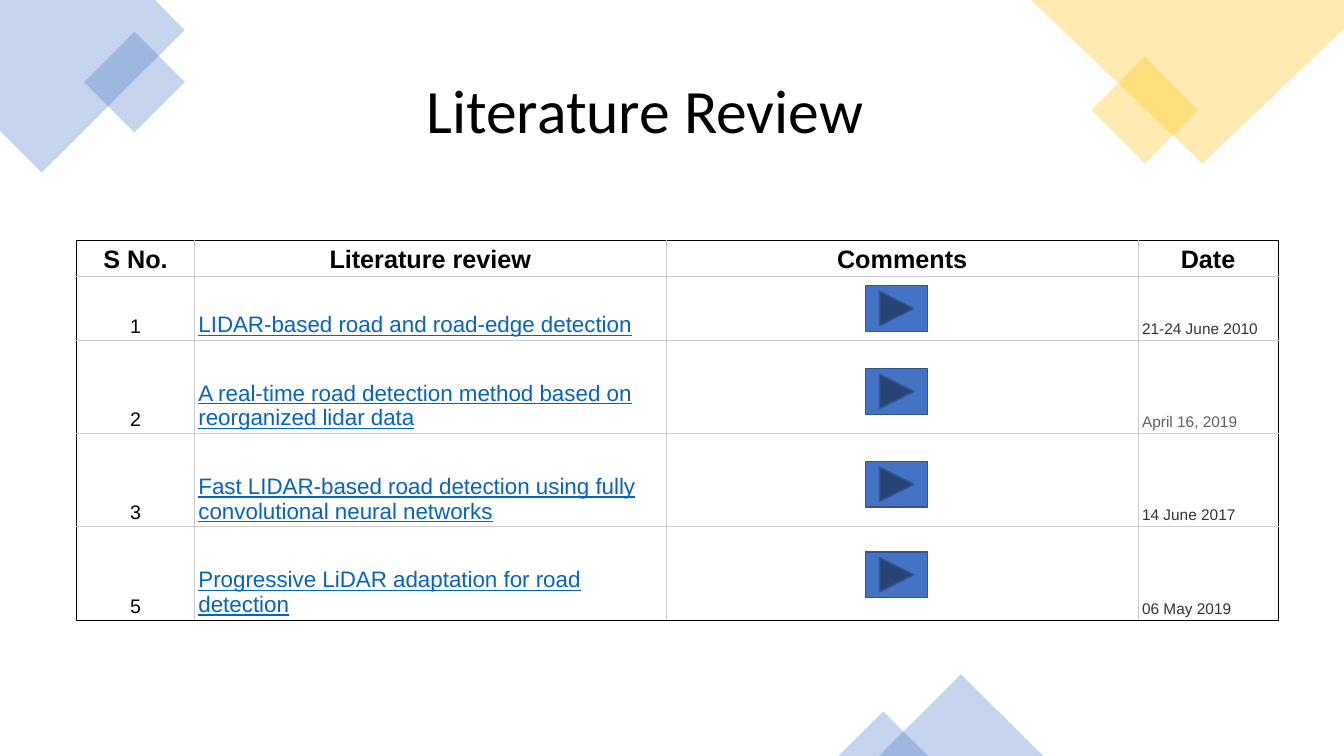
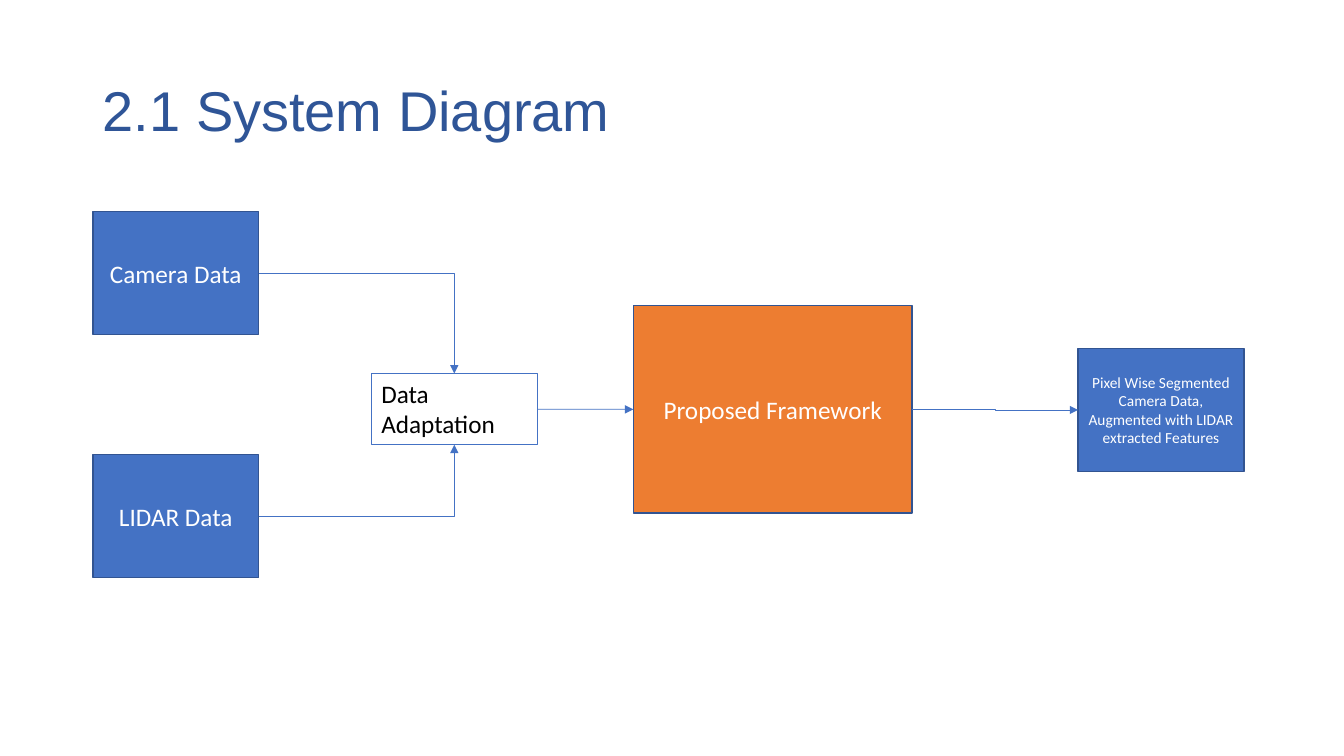
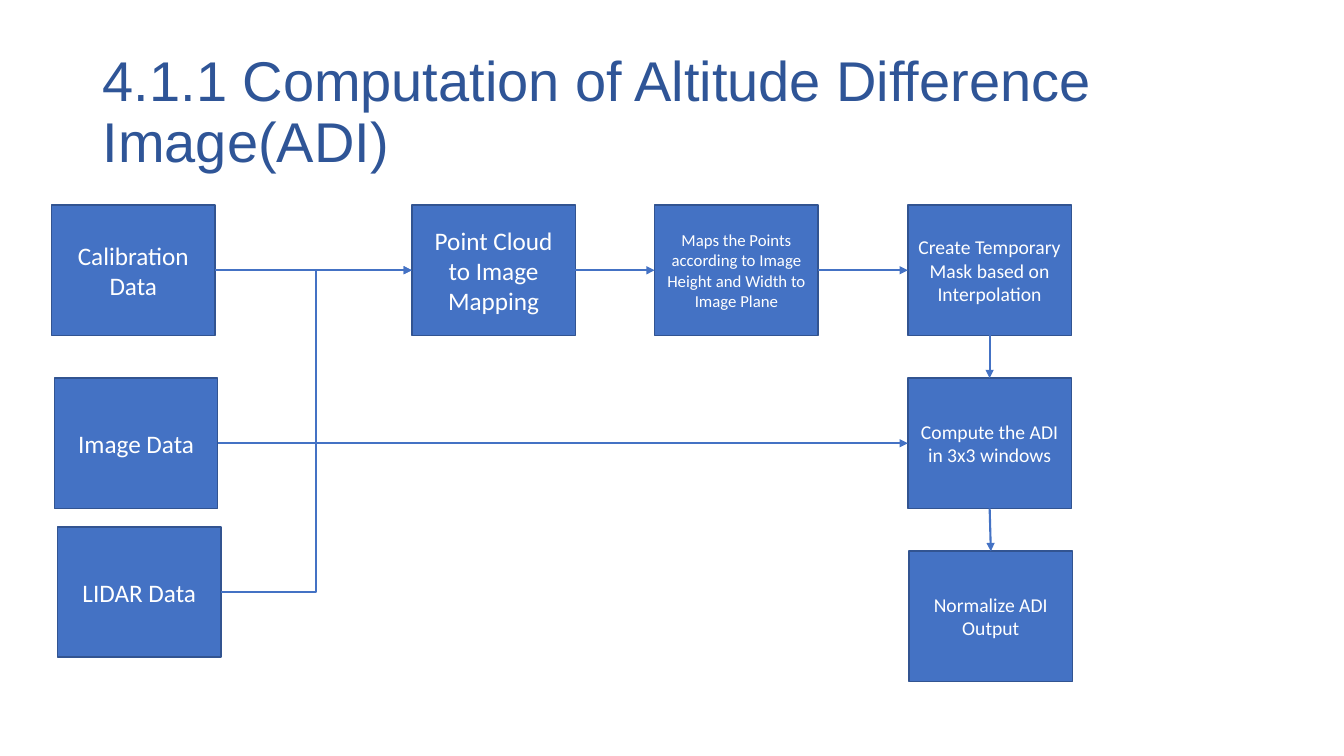
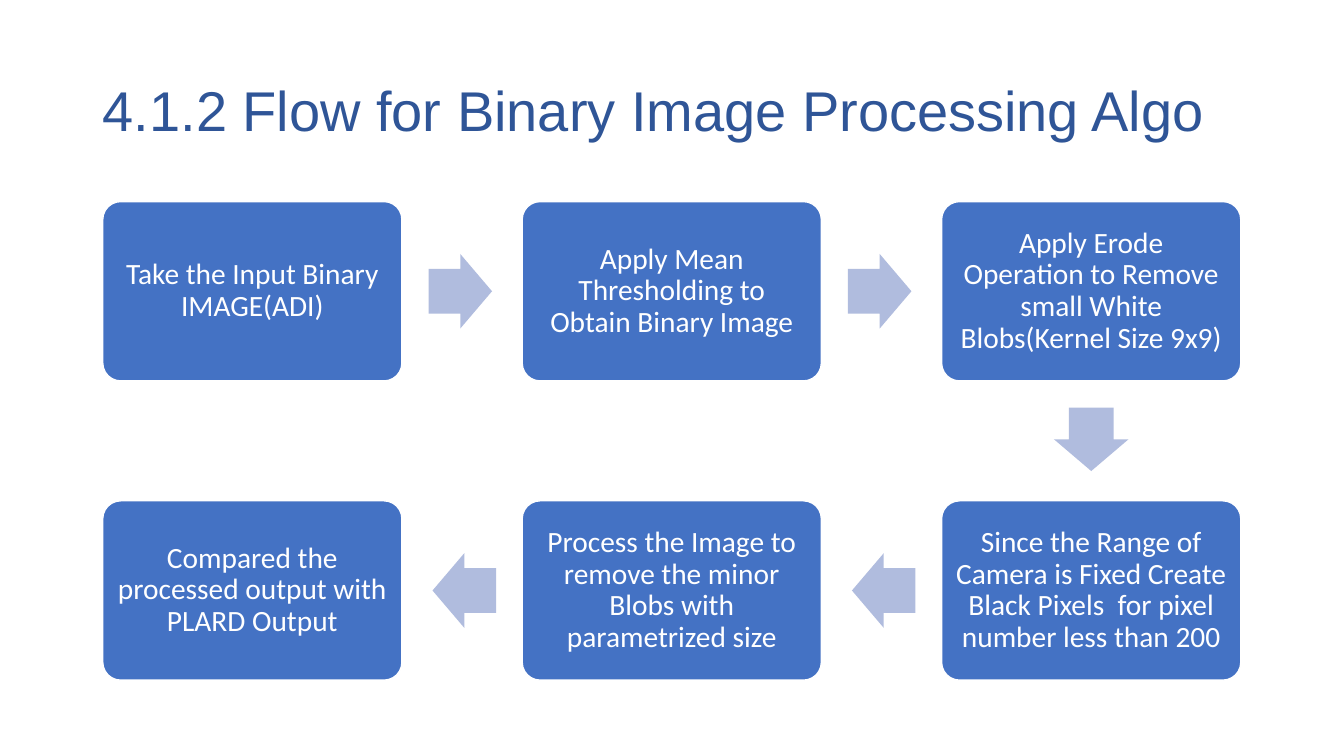
from dataclasses import dataclass

from lxml.etree import SubElement
from pptx import Presentation
from pptx.dml.color import RGBColor
from pptx.enum.shapes import MSO_CONNECTOR, MSO_SHAPE
from pptx.enum.text import MSO_ANCHOR, PP_ALIGN
from pptx.oxml.ns import qn
from pptx.util import Cm, Pt

COLORS = {
    "blue": "4472C4",
    "outline": "325491",
    "title": "2F5597",
    "orange": "ED7D31",
    "gold": "FFC000",
    "arrow": "B0BCDE",
    "grid": "CCCCCC",
    "link": "0563C1",
    "date": "333333",
    "date_light": "606060",
    "black": "000000",
    "white": "FFFFFF",
}
TOP, LEFT, BOTTOM, RIGHT = range(4)  # connection sites of a rectangle


@dataclass
class TextStyle:
    size: float
    color: str = "white"
    font: str = "Calibri"
    align: PP_ALIGN = PP_ALIGN.CENTER
    bold: bool = False
    underline: bool = False
    spacing: float = 1.0


@dataclass
class Box:
    text: str
    x: float
    y: float
    w: float
    h: float
    style: TextStyle
    fill: str | None = "blue"
    line: str = "outline"
    line_width: float = 1
    anchor: MSO_ANCHOR = MSO_ANCHOR.MIDDLE
    kind: MSO_SHAPE = MSO_SHAPE.RECTANGLE


@dataclass
class Link:
    start: str
    start_site: int
    end: str
    end_site: int
    geometry: str = "line"


@dataclass
class Decor:
    kind: MSO_SHAPE
    x: float
    y: float
    w: float
    h: float
    color: str = "blue"


@dataclass
class Paper:
    number: str
    title: str
    date: str
    date_color: str = "date"


SECTION_TITLE = TextStyle(40, "title", "Arial", PP_ALIGN.LEFT, spacing=0.9)
REVIEW_TITLE = TextStyle(44, "black", spacing=0.9)


# Shared helpers
def rgb(name: str) -> RGBColor:
    return RGBColor.from_string(COLORS[name])


def write(tf, text: str, style: TextStyle) -> None:
    tf.word_wrap = True
    p = tf.paragraphs[0]
    p.text = text
    p.alignment = style.align
    p.line_spacing = style.spacing
    p.font.size = Pt(style.size)
    p.font.name = style.font
    p.font.bold = style.bold
    p.font.underline = style.underline
    p.font.color.rgb = rgb(style.color)


def paint(sp, fill: str | None, line: str | None = None, width: float = 1) -> None:
    sp.shadow.inherit = False
    if fill:
        sp.fill.solid()
        sp.fill.fore_color.rgb = rgb(fill)
    else:
        sp.fill.background()
    if line:
        sp.line.color.rgb = rgb(line)
        sp.line.width = Pt(width)
    else:
        sp.line.fill.background()


def paint_translucent(sp, color: str) -> None:
    paint(sp, color)
    clr = sp._element.spPr.find(qn("a:solidFill")).find(qn("a:srgbClr"))
    SubElement(clr, qn("a:alpha")).set("val", "30000")


def add_slide(prs, title: str, style: TextStyle = SECTION_TITLE, x: float = 2.34):
    s = prs.slides.add_slide(prs.slide_layouts[6])
    tf = s.shapes.add_textbox(Cm(x), Cm(1.03), Cm(29.21), Cm(3.68)).text_frame
    tf.vertical_anchor = MSO_ANCHOR.MIDDLE
    write(tf, title, style)
    return s


def add_box(s, box: Box):
    sp = s.shapes.add_shape(box.kind, Cm(box.x), Cm(box.y), Cm(box.w), Cm(box.h))
    paint(sp, box.fill, box.line, box.line_width)
    sp.text_frame.vertical_anchor = box.anchor
    write(sp.text_frame, box.text, box.style)
    return sp


def add_link(s, link: Link, boxes: dict, width: float) -> None:
    kind = MSO_CONNECTOR.STRAIGHT if link.geometry == "line" else MSO_CONNECTOR.ELBOW
    c = s.shapes.add_connector(kind, 0, 0, 0, 0)
    c.begin_connect(boxes[link.start], link.start_site)
    c.end_connect(boxes[link.end], link.end_site)
    c.line.color.rgb = rgb("blue")
    c.line.width = Pt(width)
    spPr = c._element.spPr
    spPr.find(qn("a:prstGeom")).set("prst", link.geometry)
    SubElement(spPr.find(qn("a:ln")), qn("a:tailEnd")).set("type", "triangle")
    SubElement(spPr, qn("a:effectLst"))


def add_diagram(s, boxes: list[Box], links: list[Link], width: float) -> None:
    shapes = {box.text: add_box(s, box) for box in boxes}
    for link in links:
        add_link(s, link, shapes, width)


# Slide 1: literature table
def add_polygon(s, points: list[tuple[float, float]], color: str) -> None:
    pts = [(Cm(x), Cm(y)) for x, y in points]
    fb = s.shapes.build_freeform(*pts[0], scale=1.0)
    fb.add_line_segments(pts[1:], close=True)
    paint_translucent(fb.convert_to_shape(), color)


def set_borders(cell, colors: dict[str, str]) -> None:
    tcPr = cell._tc.get_or_add_tcPr()
    for side, color in colors.items():
        ln = SubElement(tcPr, qn(f"a:ln{side}"), w=str(Pt(0.75)))
        fill = SubElement(ln, qn("a:solidFill"))
        SubElement(fill, qn("a:srgbClr"), val=COLORS[color])


def add_paper_table(s, papers: list[Paper]) -> None:
    widths, heights = [2.97, 11.89, 11.89, 3.53], [0.86, 1.61, 2.35, 2.35, 2.35]
    head = TextStyle(18, "black", "Arial", bold=True)
    number = TextStyle(14, "black", "Arial")
    link = TextStyle(16, "link", "Arial", PP_ALIGN.LEFT, underline=True)
    rows = [[(t, head) for t in ("S No.", "Literature review", "Comments", "Date")]]
    for paper in papers:
        date = TextStyle(11, paper.date_color, "Arial", PP_ALIGN.LEFT)
        rows.append([(paper.number, number), (paper.title, link), ("", link),
                     (paper.date, date)])

    table = s.shapes.add_table(len(rows), len(widths), Cm(1.93), Cm(6.06),
                               Cm(sum(widths)), Cm(sum(heights))).table
    table.first_row = table.horz_banding = False
    for col, width in zip(table.columns, widths):
        col.width = Cm(width)
    for row, height in zip(table.rows, heights):
        row.height = Cm(height)
    for i, row in enumerate(rows):
        for j, (text, style) in enumerate(row):
            cell = table.cell(i, j)
            cell.margin_left = cell.margin_right = Cm(0.1)
            cell.margin_top = cell.margin_bottom = Cm(0.07)
            cell.vertical_anchor = MSO_ANCHOR.BOTTOM
            outer = {"L": j == 0, "R": j == len(row) - 1,
                     "T": i == 0, "B": i == len(rows) - 1}
            set_borders(cell, {k: "black" if v else "grid" for k, v in outer.items()})
            cell.fill.background()
            if text:
                write(cell.text_frame, text, style)


def literature_slide(prs) -> None:
    s = add_slide(prs, "Literature Review", REVIEW_TITLE, x=1.65)
    # Corner decoration
    add_polygon(s, [(0, 0), (3.91, 0), (4.65, 0.76), (1.05, 4.35), (0, 3.3)], "blue")
    add_polygon(s, [(25.98, 0), (33.87, 0), (33.87, 0.72), (30.3, 4.12)], "gold")
    for d in [
        Decor(MSO_SHAPE.DIAMOND, 2.12, 0.8, 2.54, 2.54),
        Decor(MSO_SHAPE.DIAMOND, 27.5, 1.43, 2.69, 2.69, "gold"),
        Decor(MSO_SHAPE.ISOSCELES_TRIANGLE, 22.15, 16.99, 4.14, 2.06),
        Decor(MSO_SHAPE.ISOSCELES_TRIANGLE, 21.13, 17.93, 2.26, 1.12),
    ]:
        sp = s.shapes.add_shape(d.kind, Cm(d.x), Cm(d.y), Cm(d.w), Cm(d.h))
        paint_translucent(sp, d.color)

    add_paper_table(s, [
        Paper("1", "LIDAR-based road and road-edge detection", "21-24 June 2010"),
        Paper("2", "A real-time road detection method based on reorganized lidar data",
              "April 16, 2019", "date_light"),
        Paper("3", "Fast LIDAR-based road detection using fully convolutional "
              "neural networks", "14 June 2017"),
        Paper("5", "Progressive LiDAR adaptation for road detection", "06 May 2019"),
    ])
    for y in (7.2, 9.29, 11.63, 13.91):
        sp = s.shapes.add_shape(MSO_SHAPE.ACTION_BUTTON_FORWARD_OR_NEXT,
                                Cm(21.82), Cm(y), Cm(1.56), Cm(1.15))
        paint(sp, "blue", "outline")


# Slide 2: system diagram
def system_slide(prs) -> None:
    s = add_slide(prs, "2.1 System Diagram")
    w, h = 4.18, 3.1
    camera, lidar = "Camera Data", "LIDAR Data"
    adapt, framework = "Data Adaptation", "Proposed Framework"
    output = "Pixel Wise Segmented Camera Data, Augmented with LIDAR extracted Features"
    label = TextStyle(18)
    boxes = [
        Box(camera, 2.34, 5.33, w, h, label),
        Box(lidar, 2.34, 11.46, w, h, label),
        Box(adapt, 9.36, 9.41, w, 1.8, TextStyle(18, "black", align=PP_ALIGN.LEFT),
            fill=None, line="blue", line_width=0.75, anchor=MSO_ANCHOR.TOP),
        Box(framework, 15.96, 7.7, 7.03, 5.23, label, fill="orange"),
        Box(output, 27.17, 8.78, w, h, TextStyle(11)),
    ]
    links = [
        Link(camera, RIGHT, adapt, TOP, "bentConnector2"),
        Link(lidar, RIGHT, adapt, BOTTOM, "bentConnector2"),
        Link(adapt, RIGHT, framework, LEFT),
        Link(framework, RIGHT, output, LEFT, "bentConnector3"),
    ]
    add_diagram(s, boxes, links, 0.5)


# Slide 3: altitude difference image
def altitude_slide(prs) -> None:
    s = add_slide(prs, "4.1.1 Computation of Altitude Difference Image(ADI)")
    calib, image, lidar = "Calibration Data", "Image Data", "LIDAR Data"
    cloud = "Point Cloud to Image Mapping"
    plane = "Maps the Points according to Image Height and Width to Image Plane"
    mask = "Create Temporary Mask based on Interpolation"
    compute, normalize = "Compute the ADI in 3x3 windows", "Normalize ADI Output"
    boxes = [
        Box(text, x, y, 4.12, 3.28, TextStyle(size))
        for text, x, y, size in [
            (calib, 1.3, 5.17, 18),
            (image, 1.37, 9.53, 18),
            (lidar, 1.45, 13.28, 18),
            (cloud, 10.38, 5.17, 18),
            (plane, 16.5, 5.17, 12),
            (mask, 22.88, 5.17, 14),
            (compute, 22.88, 9.53, 14),
            (normalize, 22.91, 13.89, 14),
        ]
    ]
    links = [
        Link(calib, RIGHT, cloud, LEFT),
        Link(lidar, RIGHT, cloud, LEFT, "bentConnector3"),
        Link(cloud, RIGHT, plane, LEFT),
        Link(plane, RIGHT, mask, LEFT),
        Link(image, RIGHT, compute, LEFT),
        Link(mask, BOTTOM, compute, TOP),
        Link(compute, BOTTOM, normalize, TOP),
    ]
    add_diagram(s, boxes, links, 1.5)


# Slide 4: binary image flow
def add_flow_arrow(s, x: float, y: float, rotation: int) -> None:
    sp = s.shapes.add_shape(MSO_SHAPE.RIGHT_ARROW, Cm(x), Cm(y), Cm(1.6), Cm(1.88))
    sp.adjustments[0], sp.adjustments[1] = 0.6, 0.5
    sp.rotation = rotation
    paint(sp, "arrow")


def flow_slide(prs) -> None:
    s = add_slide(prs, "4.1.2 Flow for Binary Image Processing Algo")
    step, row_tops = 10.57, (5.08, 12.62)
    rows = [
        ["Take the Input Binary IMAGE(ADI)",
         "Apply Mean Thresholding to Obtain Binary Image",
         "Apply Erode Operation to Remove small White Blobs(Kernel Size 9x9)"],
        ["Compared the processed output with PLARD Output",
         "Process the Image to remove the minor Blobs with parametrized size",
         "Since the Range of Camera is Fixed Create Black Pixels  for pixel "
         "number less than 200"],
    ]
    for y, texts in zip(row_tops, rows):
        for i, text in enumerate(texts):
            sp = add_box(s, Box(text, 2.59 + i * step, y, 7.54, 4.52,
                                TextStyle(21, spacing=0.9), line="white",
                                kind=MSO_SHAPE.ROUNDED_RECTANGLE))
            sp.adjustments[0] = 0.1
            tf = sp.text_frame
            tf.margin_left = tf.margin_right = Cm(0.22)
            tf.margin_top = tf.margin_bottom = Cm(0.22)
    for i in range(2):
        add_flow_arrow(s, 10.8 + i * step, row_tops[0] + 1.32, 0)
        add_flow_arrow(s, 10.9 + i * step, row_tops[1] + 1.32, 180)
    add_flow_arrow(s, 26.7, 10.13, 90)


def main() -> None:
    prs = Presentation()
    prs.slide_width, prs.slide_height = Cm(33.87), Cm(19.05)
    literature_slide(prs)
    system_slide(prs)
    altitude_slide(prs)
    flow_slide(prs)
    prs.save("out.pptx")


if __name__ == "__main__":
    main()
